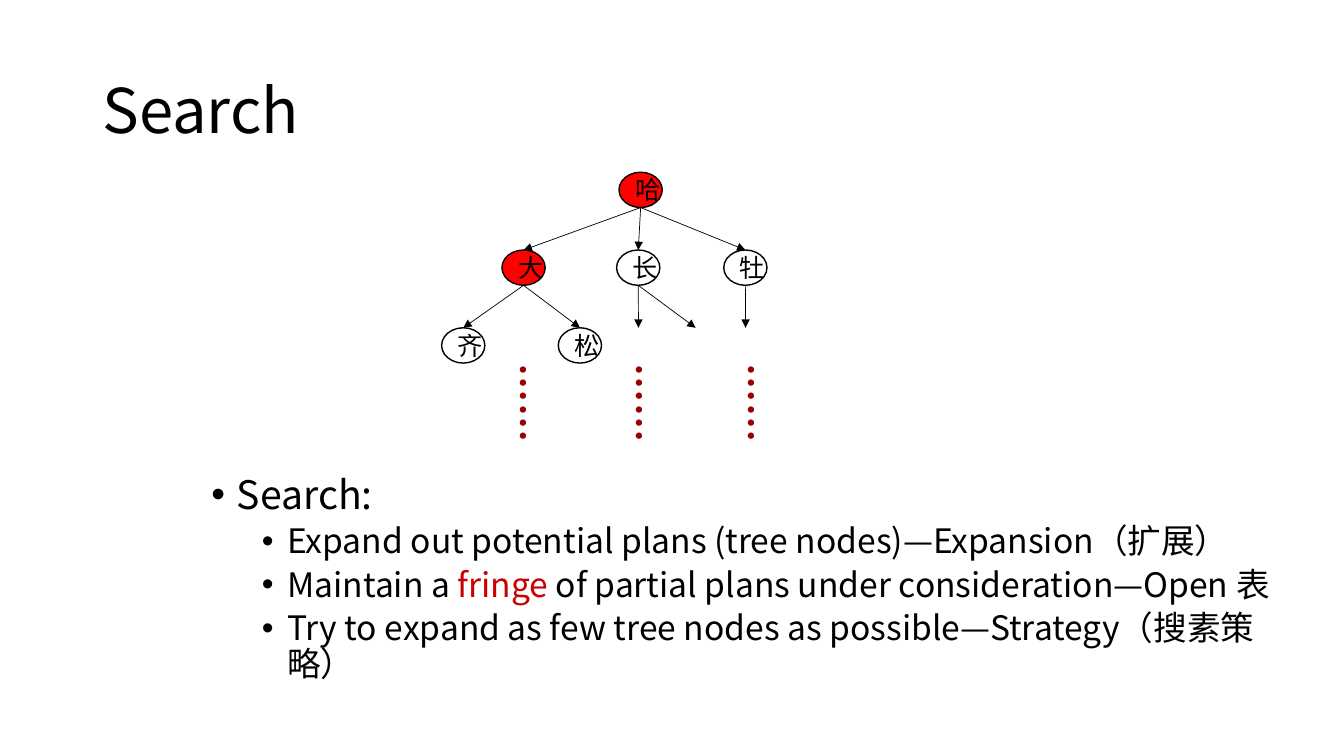
from dataclasses import dataclass

from lxml import etree
from pptx import Presentation
from pptx.dml.color import RGBColor
from pptx.enum.shapes import MSO_CONNECTOR, MSO_SHAPE
from pptx.enum.text import MSO_ANCHOR, MSO_AUTO_SIZE, PP_ALIGN
from pptx.oxml.ns import qn
from pptx.util import Cm, Pt

OVAL = MSO_SHAPE.OVAL
STRAIGHT = MSO_CONNECTOR.STRAIGHT
MIDDLE = MSO_ANCHOR.MIDDLE
CENTER = PP_ALIGN.CENTER
GROW = MSO_AUTO_SIZE.SHAPE_TO_FIT_TEXT


@dataclass(frozen=True)
class Theme:
    font: str = "Noto Sans CJK SC"
    black: str = "000000"
    white: str = "FFFFFF"
    visited: str = "FF0000"
    accent: str = "CC0000"
    dots: str = "990000"
    title: int = 44
    heading: int = 28
    item: int = 24
    node: int = 18


THEME = Theme()
NODE_W, NODE_H = 1.09, 0.89
ROOT_Y, LEVEL_STEP = 4.34, 1.96
LEAF_Y = ROOT_Y + 2 * LEVEL_STEP

NODES = {
    "哈": (15.6, 0, THEME.visited),
    "大": (12.65, 1, THEME.visited),
    "长": (15.54, 1, THEME.white),
    "牡": (18.24, 1, THEME.white),
    "齐": (11.13, 2, THEME.white),
    "松": (14.07, 2, THEME.white),
}
EDGES = ["哈大", "哈长", "哈牡", "大齐", "大松"]
OPEN_EDGES = [("长", 16.09), ("长", 17.53), ("牡", 18.79)]
DOTS_X = [11.94, 14.86, 17.68]

ITEMS = [
    [("Expand out potential plans (tree nodes)—Expansion（扩展）", THEME.black)],
    [("Maintain a ", THEME.black), ("fringe ", THEME.accent),
     ("of partial plans under consideration—Open 表", THEME.black)],
    [("Try to expand as few tree nodes as possible—Strategy（搜素策略）", THEME.black)],
]


def apply(target, values):
    for name, value in values.items():
        setattr(target, name, value)


def add_run(p, text, size, color=THEME.black, bold=False):
    r = p.add_run()
    r.text = text
    apply(r.font, {"name": THEME.font, "size": Pt(size), "bold": bold})
    r.font.color.rgb = RGBColor.from_string(color)
    etree.SubElement(r.font._element, qn("a:ea"), typeface=THEME.font)


def add_box(s, left, top, width, height, **frame):
    sp = s.shapes.add_textbox(Cm(left), Cm(top), Cm(width), Cm(height))
    apply(sp.text_frame, {"word_wrap": True, **frame})
    return sp


def add_bullet(p, runs, size, indent, before):
    apply(p, {"line_spacing": 0.9, "space_before": Pt(before)})
    pPr = p._p.get_or_add_pPr()
    pPr.set("marL", str(Cm(indent)))
    pPr.set("indent", str(-Cm(0.64)))
    etree.SubElement(pPr, qn("a:buFont"), typeface="Arial")
    etree.SubElement(pPr, qn("a:buChar"), char="•")
    for text, color in runs:
        add_run(p, text, size, color)


def add_node(s, label, left, level, fill):
    sp = s.shapes.add_shape(OVAL, Cm(left), Cm(ROOT_Y + level * LEVEL_STEP),
                            Cm(NODE_W), Cm(NODE_H))
    sp.shadow.inherit = False
    sp.fill.solid()
    sp.fill.fore_color.rgb = RGBColor.from_string(fill)
    sp.line.color.rgb = RGBColor.from_string(THEME.black)
    sp.line.width = Pt(1)
    apply(sp.text_frame, {"word_wrap": True, "vertical_anchor": MIDDLE})
    p = sp.text_frame.paragraphs[0]
    p.alignment = CENTER
    add_run(p, label, THEME.node)
    return sp


def add_arrow(s, parent, x, y):
    line = s.shapes.add_connector(STRAIGHT, parent.left + parent.width // 2,
                                  parent.top + parent.height, x, y)
    line.line.color.rgb = RGBColor.from_string(THEME.black)
    line.line.width = Pt(0.5)
    etree.SubElement(line.line._get_or_add_ln(), qn("a:tailEnd"), type="triangle")
    etree.SubElement(line._element.spPr, qn("a:effectLst"))


def add_dots(s, left):
    sp = add_box(s, left, 9.45, 2.51, 1.45, word_wrap=False, auto_size=GROW)
    sp.rotation = 90
    add_run(sp.text_frame.paragraphs[0], "……", THEME.heading, THEME.dots, True)


def add_tree(s):
    nodes = {label: add_node(s, label, *place) for label, place in NODES.items()}
    for parent, child in EDGES:
        end = nodes[child]
        add_arrow(s, nodes[parent], end.left + end.width // 2, end.top)
    for parent, x in OPEN_EDGES:
        add_arrow(s, nodes[parent], Cm(x), Cm(LEAF_Y))
    for left in DOTS_X:
        add_dots(s, left)


def main():
    prs = Presentation()
    apply(prs, {"slide_width": Cm(33.87), "slide_height": Cm(19.05)})
    s = prs.slides.add_slide(prs.slide_layouts[6])

    title = add_box(s, 2.33, 1.01, 29.21, 3.68, vertical_anchor=MIDDLE)
    p = title.text_frame.paragraphs[0]
    p.line_spacing = 0.9
    add_run(p, "Search", THEME.title)

    tf = add_box(s, 5.08, 11.86, 28.14, 5.51).text_frame
    add_bullet(tf.paragraphs[0], [("Search:", THEME.black)], THEME.heading, 0.64, 10)
    for runs in ITEMS:
        p = tf.add_paragraph()
        p.level = 1
        add_bullet(p, runs, THEME.item, 1.91, 5)

    add_tree(s)
    prs.save("out.pptx")


if __name__ == "__main__":
    main()
